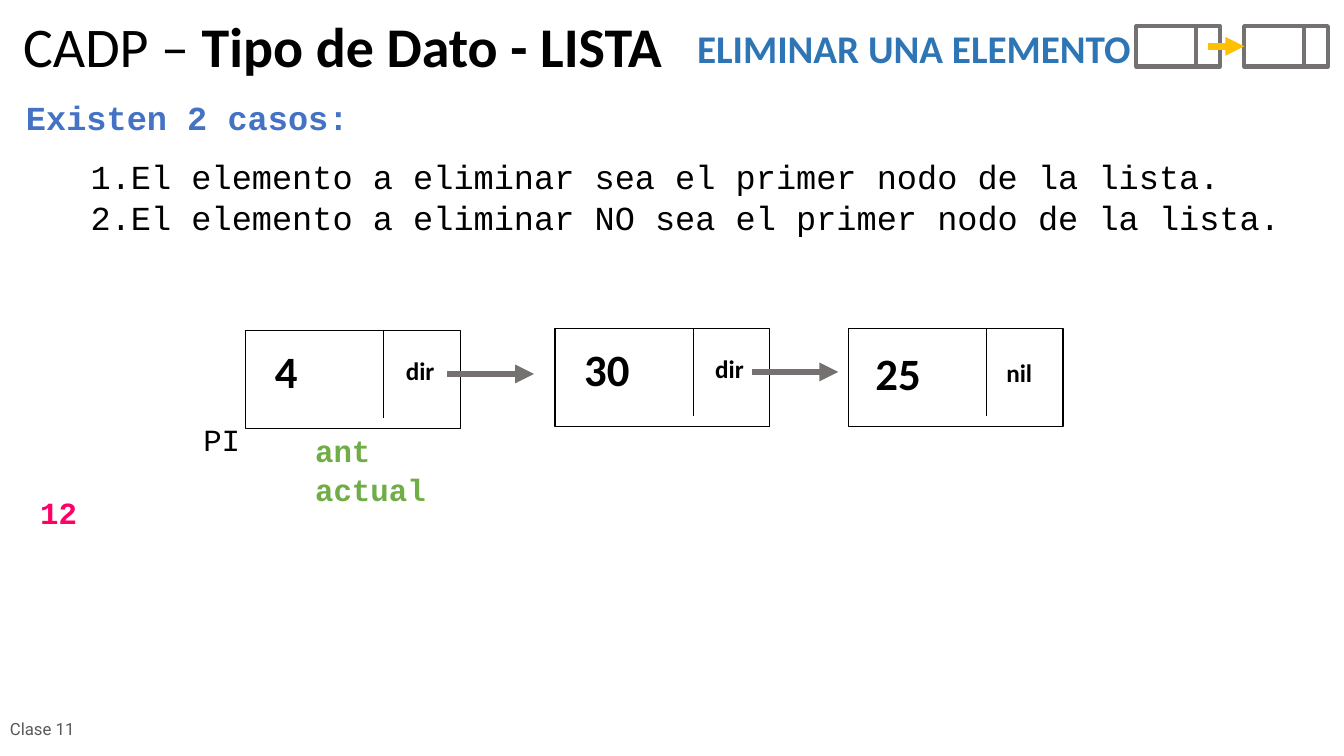
from pptx import Presentation
from pptx.dml.color import RGBColor as Rgb
from pptx.enum.shapes import MSO_CONNECTOR as Conn, MSO_SHAPE as Shape
from pptx.enum.text import MSO_ANCHOR as Anchor, MSO_AUTO_SIZE as Auto, PP_ALIGN as Align
from pptx.oxml.ns import qn
from pptx.util import Inches, Pt
from lxml.etree import SubElement

HUES = {
    "black": "000000", "gray": "767171", "gold": "FFC000", "blue": "2E75B6",
    "sky": "4472C4", "green": "70AD47", "pink": "FF0066", "dim": "595959",
}
SANS, MONO, FOOT = "Calibri", "Courier New", "Roboto"


class Deck:
    def __init__(self, wide, high):
        self.prs = Presentation()
        self.prs.slide_width, self.prs.slide_height = Inches(wide), Inches(high)
        self.slide = self.prs.slides.add_slide(self.prs.slide_layouts[1])
        self.shapes = self.slide.shapes

    def hue(self, name):
        return Rgb.from_string(HUES[name])

    def run(self, para, text, size, font, hue="black", bold=False):
        run = para.add_run()
        run.text = text
        run.font.size, run.font.name, run.font.bold = Pt(size), font, bold
        run.font.color.rgb = self.hue(hue)

    def place(self, shape, box, anchor=Anchor.TOP, wrap=True):
        shape.left, shape.top, shape.width, shape.height = map(Inches, box)
        frame = shape.text_frame
        frame.auto_size = Auto.NONE
        frame.word_wrap = wrap
        frame.vertical_anchor = anchor
        return frame

    def title(self, box, parts):
        para = self.place(self.shapes.title, box).paragraphs[0]
        para.alignment = Align.LEFT
        para.line_spacing = 0.9
        for text, bold in parts:
            self.run(para, text, 40, SANS, bold=bold)

    def items(self, box, lines):
        frame = self.place(self.slide.placeholders[1], box)
        for i, line in enumerate(lines):
            para = frame.add_paragraph() if i else frame.paragraphs[0]
            para.alignment = Align.LEFT
            para.space_before = Pt(0)
            props = para._p.get_or_add_pPr()
            props.set("marL", str(Inches(0.5)))
            props.set("indent", "0")
            SubElement(props, qn("a:buNone"))
            self.run(para, line, 24, MONO)

    def text(self, box, text, size, font, hue="black", bold=False, anchor=Anchor.TOP, wrap=True):
        shape = self.shapes.add_textbox(*map(Inches, box))
        frame = self.place(shape, box, anchor, wrap)
        self.run(frame.paragraphs[0], text, size, font, hue, bold)

    def rect(self, box, hue, width):
        rect = self.shapes.add_shape(Shape.RECTANGLE, *map(Inches, box))
        rect.shadow.inherit = False
        rect.fill.background()
        rect.line.color.rgb = self.hue(hue)
        rect.line.width = Pt(width)
        return rect

    def line(self, start, end, hue, width, arrow=False):
        line = self.shapes.add_connector(Conn.STRAIGHT, *map(Inches, start + end))
        line.line.color.rgb = self.hue(hue)
        line.line.width = Pt(width)
        if arrow:
            SubElement(line.line._get_or_add_ln(), qn("a:tailEnd"), type="triangle")
        SubElement(line._element.spPr, qn("a:effectLst"))
        return line

    def icon(self, left, top):
        rect = self.rect((left, top, 0.83, 0.4), "gray", 3)
        self.line((left + 0.59, top), (left + 0.59, top + 0.4), "gray", 3)
        return rect

    def node(self, left, top, value, link, shift=(0, 0)):
        dx, dy = shift
        self.rect((left, top, 2.13, 0.97), "black", 1)
        self.line((left + 1.37, top), (left + 1.37, top + 0.87), "black", 0.5)
        self.text((left + 0.19 + dx, top + 0.08 + dy, 0.65, 0.64), value, 32, SANS,
                  bold=True, wrap=False)
        self.text((left + 1.49 + dx, top + 0.2 + dy, 0.48, 0.4), link, 18, SANS,
                  bold=True, wrap=False)


def main():
    deck = Deck(13.34, 7.5)
    deck.title((0.13, 0.14, 9.28, 0.76), [("CADP – ", False), ("Tipo de Dato - LISTA", True)])
    deck.items((0.3, 1.5, 12.74, 0.9), [
        "1.El elemento a eliminar sea el primer nodo de la lista.",
        "2.El elemento a eliminar NO sea el primer nodo de la lista.",
    ])
    deck.text((0, 7.02, 1.07, 0.43), "Clase 11", 12, FOOT, "dim", anchor=Anchor.MIDDLE)

    deck.icon(11.28, 0.26)
    goal = deck.icon(12.35, 0.26)
    link = deck.line((11.99, 0.46), (12.35, 0.46), "gold", 4.5, True)
    link.end_connect(goal, 1)

    deck.text((6.82, 0.19, 4.88, 0.57), "ELIMINAR UNA ELEMENTO", 28, SANS, "blue", True)
    deck.text((0.16, 0.91, 4.73, 0.5), "Existen 2 casos:", 24, MONO, "sky", True)

    deck.node(2.44, 3.28, "4", "dir")
    deck.node(5.51, 3.26, "30", "dir")
    deck.node(8.42, 3.26, "25", "nil", (-0.02, 0.04))
    for left, top in ((4.44, 3.71), (7.46, 3.69)):
        deck.line((left, top), (left + 0.86, top), "gray", 4.5, True)

    for left, top, wide, name, hue in (
        (1.92, 4.12, 0.94, "PI", "black"),
        (0.3, 4.85, 0.94, "12", "pink"),
        (3.03, 4.23, 1.4, "ant", "green"),
        (3.03, 4.62, 1.4, "actual", "green"),
    ):
        deck.text((left, top, wide, 0.47), name, 22, MONO, hue, hue != "black")
    deck.prs.save("out.pptx")


if __name__ == "__main__":
    main()
